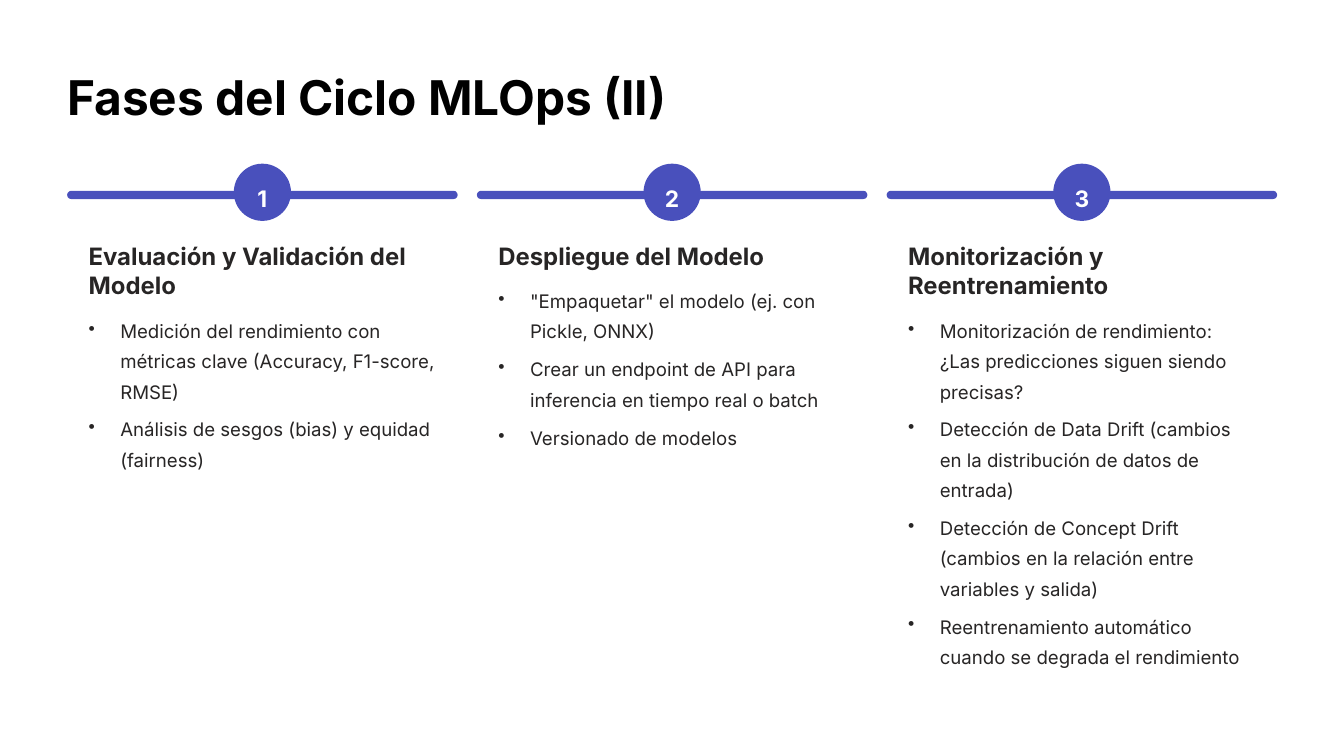
from dataclasses import dataclass

from lxml.etree import SubElement
from pptx import Presentation
from pptx.dml.color import RGBColor
from pptx.enum.shapes import MSO_SHAPE
from pptx.enum.text import MSO_ANCHOR, MSO_AUTO_SIZE, PP_ALIGN
from pptx.oxml.ns import qn
from pptx.shapes.autoshape import Shape
from pptx.slide import Slide
from pptx.util import Cm, Pt

FONT = "Inter"
BLACK = RGBColor(0x00, 0x00, 0x00)
WHITE = RGBColor(0xFF, 0xFF, 0xFF)
INK = RGBColor(0x27, 0x25, 0x25)
INDIGO = RGBColor(0x49, 0x50, 0xBC)

# Column grid
MARGIN = Cm(2.03)
COLUMN_WIDTH = Cm(11.81)
COLUMN_PITCH = Cm(12.39)
TEXT_INSET = Cm(0.65)
BADGE_SIZE = Cm(1.73)
BULLET_INDENT = Cm(0.96)


@dataclass(frozen=True)
class Phase:
    heading: str
    points: tuple[str, ...]


@dataclass(frozen=True)
class TextStyle:
    size: float
    line: float
    color: RGBColor
    bold: bool = True
    align: PP_ALIGN = PP_ALIGN.LEFT


TITLE = TextStyle(41, 51, BLACK)
NUMBER = TextStyle(19.5, 31.5, WHITE, align=PP_ALIGN.CENTER)
HEADING = TextStyle(20.5, 25.5, INK)
POINT = TextStyle(16, 26, INK, bold=False)

PHASES = (
    Phase("Evaluación y Validación del Modelo", (
        "Medición del rendimiento con métricas clave (Accuracy, F1-score, RMSE)",
        "Análisis de sesgos (bias) y equidad (fairness)",
    )),
    Phase("Despliegue del Modelo", (
        '"Empaquetar" el modelo (ej. con Pickle, ONNX)',
        "Crear un endpoint de API para inferencia en tiempo real o batch",
        "Versionado de modelos",
    )),
    Phase("Monitorización y Reentrenamiento", (
        "Monitorización de rendimiento: ¿Las predicciones siguen siendo precisas?",
        "Detección de Data Drift (cambios en la distribución de datos de entrada)",
        "Detección de Concept Drift (cambios en la relación entre variables y salida)",
        "Reentrenamiento automático cuando se degrada el rendimiento",
    )),
)


def prepare_frame(box: Shape, wrap: bool = True) -> None:
    frame = box.text_frame
    frame.margin_left = frame.margin_right = 0
    frame.margin_top = frame.margin_bottom = 0
    frame.word_wrap = wrap
    frame.auto_size = MSO_AUTO_SIZE.NONE
    frame.vertical_anchor = MSO_ANCHOR.TOP


def write(para, text: str, style: TextStyle, before: float = 0) -> None:
    para.alignment = style.align
    para.line_spacing = Pt(style.line)
    para.space_before = Pt(before)
    span = para.add_run()
    span.text = text
    span.font.name = FONT
    span.font.size = Pt(style.size)
    span.font.bold = style.bold
    span.font.color.rgb = style.color


def write_bullet(para, text: str, before: float) -> None:
    properties = para._p.get_or_add_pPr()
    properties.set("marL", str(BULLET_INDENT))
    properties.set("indent", str(-BULLET_INDENT))
    SubElement(properties, qn("a:buChar")).set("char", "•")
    write(para, text, POINT, before)


def add_solid(page: Slide, kind: MSO_SHAPE, left: int, top: int,
              width: int, height: int) -> Shape:
    shape = page.shapes.add_shape(kind, left, top, width, height)
    shape.shadow.inherit = False
    shape.fill.solid()
    shape.fill.fore_color.rgb = INDIGO
    shape.line.fill.background()
    return shape


def add_phase(page: Slide, index: int, phase: Phase) -> None:
    left = MARGIN + index * COLUMN_PITCH

    # Bar and numbered badge
    bar = add_solid(page, MSO_SHAPE.ROUNDED_RECTANGLE, left, Cm(5.77),
                    COLUMN_WIDTH, Cm(0.25))
    bar.adjustments[0] = 0.5
    badge = add_solid(page, MSO_SHAPE.OVAL, left + (COLUMN_WIDTH - BADGE_SIZE) // 2,
                      Cm(4.95), BADGE_SIZE, BADGE_SIZE)
    prepare_frame(badge, wrap=False)
    badge.text_frame.margin_top = Cm(0.1)
    write(badge.text_frame.paragraphs[0], str(index + 1), NUMBER)

    # Heading and bullet points
    box = page.shapes.add_textbox(left + TEXT_INSET, Cm(7.26),
                                  COLUMN_WIDTH - 2 * TEXT_INSET, Cm(13))
    prepare_frame(box)
    write(box.text_frame.paragraphs[0], phase.heading, HEADING)
    for order, point in enumerate(phase.points):
        write_bullet(box.text_frame.add_paragraph(), point, 6.5 if order else 10.5)


def main() -> None:
    deck = Presentation()
    deck.slide_width, deck.slide_height = Cm(40.64), Cm(22.86)
    page = deck.slides.add_slide(deck.slide_layouts[5])

    # Title
    title = page.shapes.title
    title.left, title.top = MARGIN, Cm(1.98)
    title.width, title.height = Cm(36.58), Cm(1.8)
    prepare_frame(title)
    write(title.text_frame.paragraphs[0], "Fases del Ciclo MLOps (II)", TITLE)

    # Phases
    for index, phase in enumerate(PHASES):
        add_phase(page, index, phase)

    deck.save("out.pptx")


if __name__ == "__main__":
    main()
